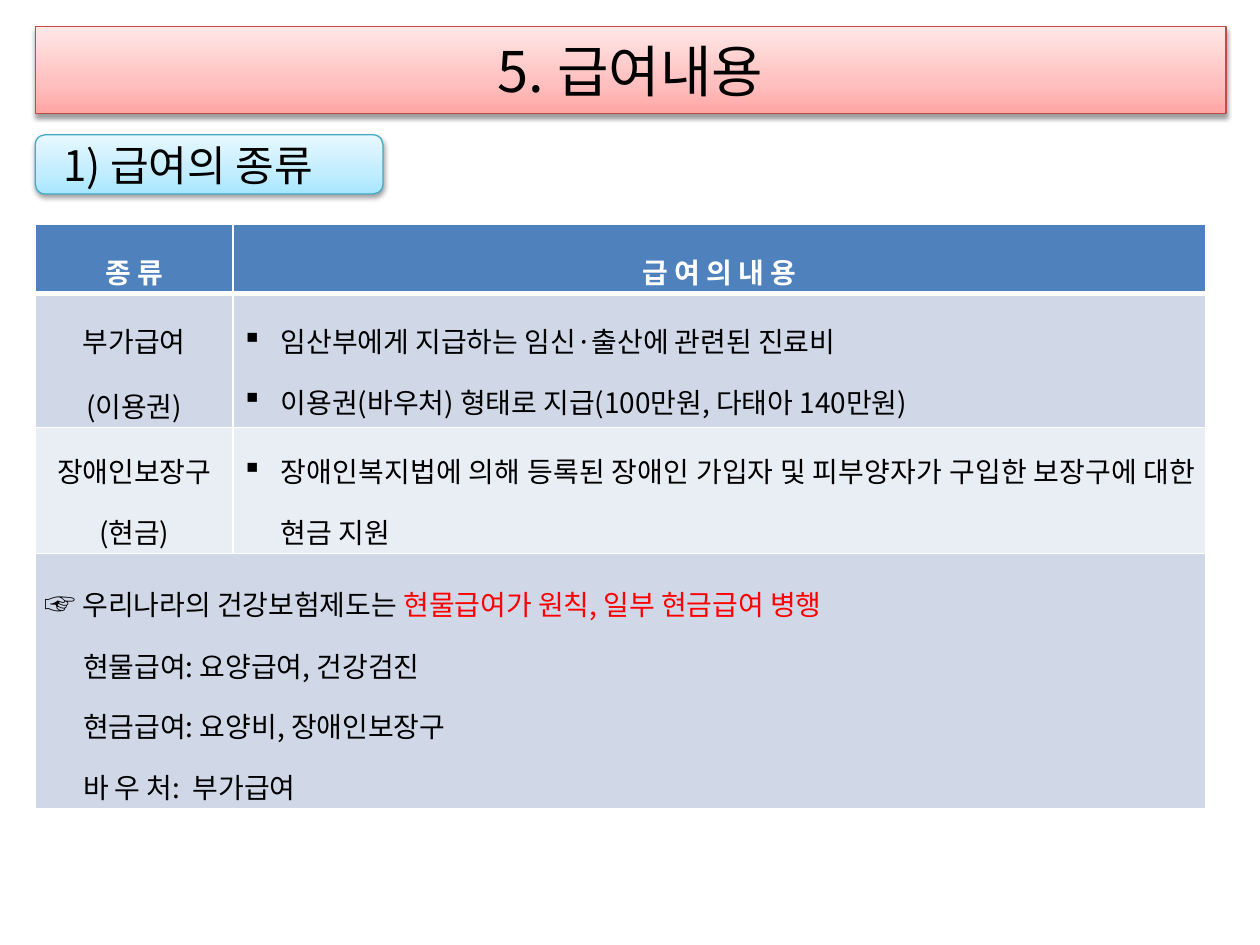
from dataclasses import dataclass

from pptx import Presentation
from pptx.dml.color import RGBColor
from pptx.enum.shapes import MSO_SHAPE as Preset
from pptx.enum.text import MSO_ANCHOR as Anchor, PP_ALIGN as Align
from pptx.oxml import parse_xml
from pptx.oxml.ns import nsdecls
from pptx.util import Inches, Pt

FONT = "Noto Sans CJK KR"
COLORS = {
    "black": "000000", "white": "FFFFFF", "red": "FF0000",
    "header": "4F81BD", "band": "D0D8E8", "light_band": "E9EDF4",
    "title_line": "BF4C48", "section_line": "46AAC5",
}
GRADIENTS = {
    "title": ((0, "FFA6A5"), (35, "FFC0BF"), (100, "FFE7E7")),
    "section": ((0, "A7E6FF"), (35, "C1EDFF"), (100, "E7F8FF")),
}
HANGING = 0.31


@dataclass(frozen=True)
class Piece:
    text: str
    size: float = 16
    color: str = "black"
    bold: bool = False


@dataclass(frozen=True)
class Line:
    pieces: tuple[Piece, ...]
    align: Align = Align.LEFT
    spacing: float = 1.5
    indent: float = 0
    bullet: str = ""


@dataclass(frozen=True)
class Banner:
    preset: Preset
    box: tuple[float, float, float, float]
    style: str
    line: Line
    left_inset: float = 0.1


@dataclass(frozen=True)
class Cell:
    lines: tuple[Line, ...]
    fill: str
    bottom_border: float = 1


def heading(text: str) -> Line:
    return Line((Piece(text, color="white", bold=True),), Align.CENTER, 1.6)


def centered(text: str, spacing: float = 1.6) -> Line:
    return Line((Piece(text),), Align.CENTER, spacing)


def bulleted(text: str) -> Line:
    return Line((Piece(text),), Align.JUSTIFY, indent=HANGING, bullet="▪")


def indented(text: str) -> Line:
    return Line((Piece(text),), indent=HANGING)


BANNERS = (
    Banner(Preset.RECTANGLE, (0.28, 0.21, 9.45, 0.69), "title",
           Line((Piece("5. 급여내용", 32),), Align.CENTER, 1)),
    Banner(Preset.ROUNDED_RECTANGLE, (0.28, 1.07, 2.76, 0.47), "section",
           Line((Piece("1) 급여의 종류", 24),), spacing=1), 0.2),
)
COLUMN_WIDTHS = (1.57, 7.72)
ROW_HEIGHTS = (0.46, 0.97, 0.84, 1.64)
ROWS = (
    (Cell((heading("종 류"),), "header", 3),
     Cell((heading("급 여 의 내 용"),), "header", 3)),
    (Cell((centered("부가급여"), centered("(이용권)")), "band"),
     Cell((bulleted("임산부에게 지급하는 임신·출산에 관련된 진료비"),
           bulleted("이용권(바우처) 형태로 지급(100만원, 다태아 140만원)")), "band")),
    (Cell((centered("장애인보장구 (현금)", 1.5),), "light_band"),
     Cell((bulleted("장애인복지법에 의해 등록된 장애인 가입자 및 피부양자가 "
                    "구입한 보장구에 대한 현금 지원"),), "light_band")),
    (Cell((Line((Piece("☞ ", 18), Piece("우리나라의 건강보험제도는 "),
                 Piece("현물급여가 원칙, 일부 현금급여 병행", color="red"))),
           indented("현물급여: 요양급여, 건강검진"),
           indented("현금급여: 요양비, 장애인보장구"),
           indented("바 우 처:  부가급여")), "band"),),
)


def rgb(name: str) -> RGBColor:
    return RGBColor.from_string(COLORS[name])


def write_lines(text_frame, lines: tuple[Line, ...]) -> None:
    for index, line in enumerate(lines):
        paragraph = text_frame.paragraphs[0] if index == 0 else text_frame.add_paragraph()
        properties = paragraph._p.get_or_add_pPr()
        if line.indent:
            properties.set("marL", str(Inches(line.indent)))
        if line.bullet:
            properties.set("indent", str(-Inches(line.indent)))
            properties.append(parse_xml(
                f'<a:buChar {nsdecls("a")} char="{line.bullet}"/>'))
        paragraph.alignment = line.align
        paragraph.line_spacing = line.spacing
        for piece in line.pieces:
            run = paragraph.add_run()
            run.text = piece.text
            formats = {"name": FONT, "size": Pt(piece.size), "bold": piece.bold}
            for attribute, value in formats.items():
                setattr(run.font, attribute, value)
            run.font.color.rgb = rgb(piece.color)
            run._r.get_or_add_rPr().append(parse_xml(
                f'<a:ea {nsdecls("a")} typeface="{FONT}"/>'))


def draw_banner(slide, banner: Banner) -> None:
    shape = slide.shapes.add_shape(banner.preset, *map(Inches, banner.box))
    # Three-stop gradient, darkest at the bottom
    shape.fill.gradient()
    shape.fill.gradient_angle = 90
    stops = "".join(
        f'<a:gs pos="{position * 1000}"><a:srgbClr val="{color}"/></a:gs>'
        for position, color in GRADIENTS[banner.style])
    gradient = shape._element.spPr.find(".//{*}gradFill")
    gradient.replace(gradient.find("{*}gsLst"), parse_xml(
        f'<a:gsLst {nsdecls("a")}>{stops}</a:gsLst>'))
    shape.line.color.rgb = rgb(f"{banner.style}_line")
    shape.line.width = Pt(0.75)
    # Soft shadow below
    shape.shadow.inherit = False
    shape._element.spPr.find("{*}effectLst").append(parse_xml(
        f'<a:outerShdw {nsdecls("a")} blurRad="{Pt(3.1)}" dist="{Pt(1.6)}" '
        f'dir="5400000" rotWithShape="0"><a:srgbClr val="{COLORS["black"]}">'
        '<a:alpha val="38000"/></a:srgbClr></a:outerShdw>'))
    text_frame = shape.text_frame
    formats = {"word_wrap": True, "vertical_anchor": Anchor.MIDDLE,
               "margin_left": Inches(banner.left_inset)}
    for attribute, value in formats.items():
        setattr(text_frame, attribute, value)
    write_lines(text_frame, (banner.line,))


def draw_cell(table_cell, cell: Cell) -> None:
    formats = {"vertical_anchor": Anchor.MIDDLE,
               "margin_left": Inches(0.07), "margin_right": Inches(0.07),
               "margin_top": Inches(0.02), "margin_bottom": Inches(0.02)}
    for attribute, value in formats.items():
        setattr(table_cell, attribute, value)
    table_cell.fill.solid()
    table_cell.fill.fore_color.rgb = rgb(cell.fill)
    borders = {"lnL": 1, "lnR": 1, "lnT": 1, "lnB": cell.bottom_border}
    for index, (tag, width) in enumerate(borders.items()):
        table_cell._tc.get_or_add_tcPr().insert(index, parse_xml(
            f'<a:{tag} {nsdecls("a")} w="{Pt(width)}"><a:solidFill>'
            f'<a:srgbClr val="{COLORS["white"]}"/></a:solidFill></a:{tag}>'))
    write_lines(table_cell.text_frame, cell.lines)


def draw_table(slide) -> None:
    table = slide.shapes.add_table(
        len(ROWS), len(COLUMN_WIDTHS), Inches(0.28), Inches(1.78),
        Inches(sum(COLUMN_WIDTHS)), Inches(sum(ROW_HEIGHTS))).table
    table.horz_banding = False
    for column, width in zip(table.columns, COLUMN_WIDTHS):
        column.width = Inches(width)
    for row, height in zip(table.rows, ROW_HEIGHTS):
        row.height = Inches(height)
    # The closing note spans both columns
    table.cell(3, 0).merge(table.cell(3, 1))
    for row_index, row in enumerate(ROWS):
        for column_index, cell in enumerate(row):
            draw_cell(table.cell(row_index, column_index), cell)


def main() -> None:
    presentation = Presentation()
    presentation.slide_width = Inches(10)
    presentation.slide_height = Inches(7.5)
    slide = presentation.slides.add_slide(presentation.slide_layouts[6])
    for banner in BANNERS:
        draw_banner(slide, banner)
    draw_table(slide)
    presentation.save("out.pptx")


if __name__ == "__main__":
    main()
